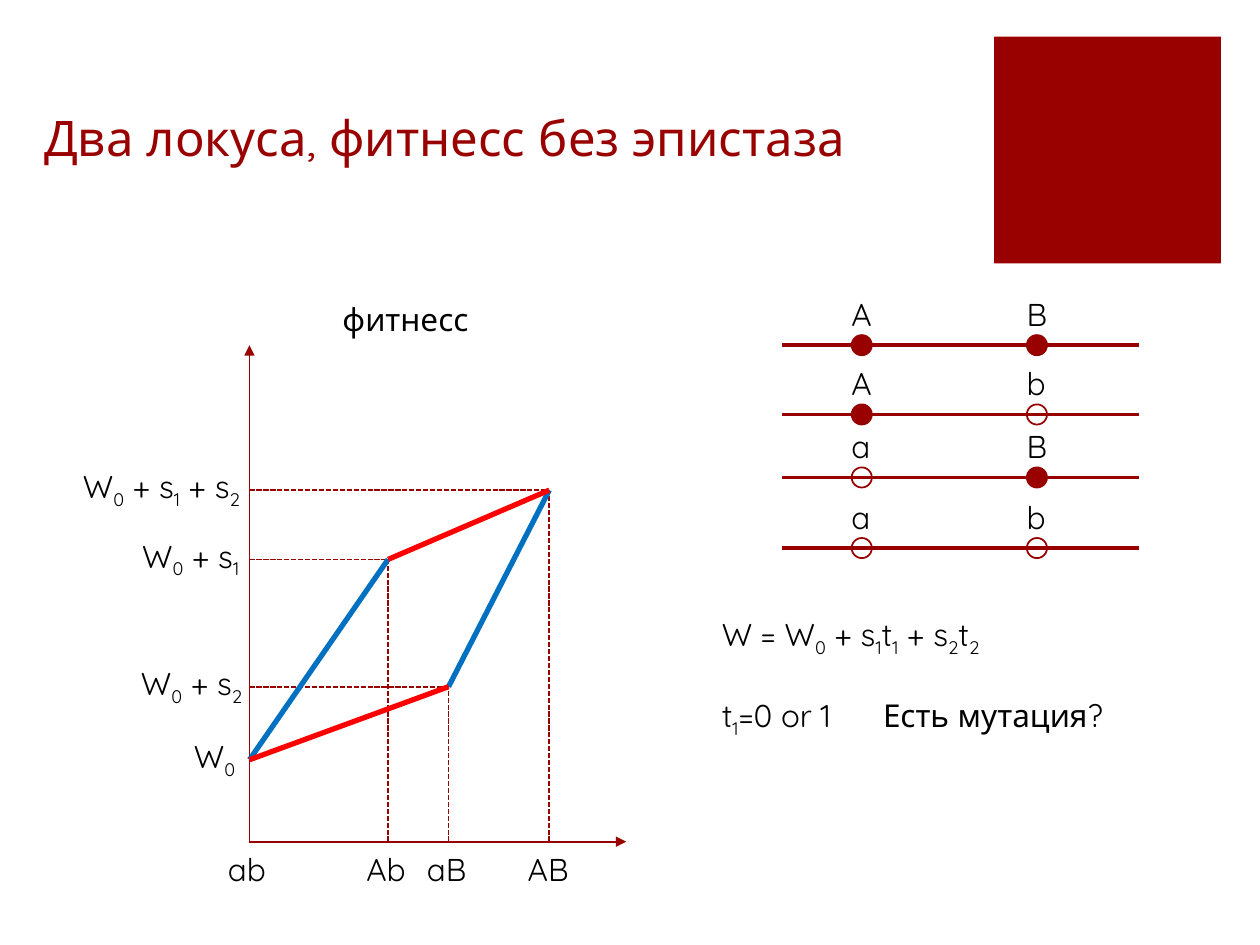
from dataclasses import dataclass

from lxml import etree
from pptx import Presentation
from pptx import util as u
from pptx.dml.color import RGBColor
from pptx.enum import dml, shapes, text
from pptx.oxml.ns import qn


@dataclass(frozen=True)
class Theme:
    font: str = "Quicksand"
    title_size: int = 28
    text_size: int = 18
    main: str = "990000"
    outline: str = "960000"
    ink: str = "000000"
    first_locus: str = "0070C0"
    second_locus: str = "FF0000"


THEME = Theme()
CELL = 0.1  # the slide is a grid of 100 columns by 75 rows
LABEL_HEIGHT = 4


@dataclass(frozen=True)
class Genotype:
    name: str
    column: float
    row: float
    fitness: str
    fitness_left: float


GENOTYPES = {
    genotype.name: genotype
    for genotype in (
        Genotype("ab", 19.8, 60.3, "W_0", 14.4),
        Genotype("Ab", 30.8, 44.4, "W_0 + s_1", 10.3),
        Genotype("aB", 35.6, 54.5, "W_0 + s_2", 10.2),
        Genotype("AB", 43.6, 38.9, "W_0 + s_1 + s_2", 5.6),
    )
}
ORIGIN = (19.8, 66.8)
CHROMOSOMES = {"AB": 27.4, "Ab": 32.9, "aB": 37.9, "ab": 43.5}
LOCUS_COLUMNS = (68.4, 82.3)


def cells(*counts):
    return [u.Inches(count * CELL) for count in counts]


def style(run, size, color):
    run.font.name = THEME.font
    run.font.size = u.Pt(size)
    run.font.color.rgb = RGBColor.from_string(color)


def write(paragraph, content):
    """Write a line in which the character after each _ is a subscript."""
    first, *rest = content.split("_")
    pieces = [(first, False)]
    for part in rest:
        pieces += [(part[0], True), (part[1:], False)]
    for piece, lowered in pieces:
        if piece:
            run = paragraph.add_run()
            run.text = piece
            style(run, THEME.text_size, THEME.ink)
            if lowered:
                run._r.get_or_add_rPr().set("baseline", "-25000")


def add_label(slide, left, top, width, *lines, height=LABEL_HEIGHT):
    box = slide.shapes.add_textbox(*cells(left, top, width, height))
    frame = box.text_frame
    frame.word_wrap = False
    for index, line in enumerate(lines):
        paragraph = frame.add_paragraph() if index else frame.paragraphs[0]
        write(paragraph, line)
    return frame


def add_line(slide, start, end, color=THEME.main, width=1, dashed=False, arrow=False):
    connector = slide.shapes.add_connector(
        shapes.MSO_CONNECTOR.STRAIGHT, *cells(*start, *end))
    line = connector.line
    line.color.rgb = RGBColor.from_string(color)
    line.width = u.Pt(width)
    if dashed:
        line.dash_style = dml.MSO_LINE.SQUARE_DOT
    if arrow:
        etree.SubElement(line._get_or_add_ln(), qn("a:tailEnd"), type="triangle")
    etree.SubElement(connector._element.spPr, qn("a:effectLst"))


def add_figure(slide, kind, left, top, size, filled=True, outline=None):
    shape = slide.shapes.add_shape(kind, *cells(left, top, size, size))
    shape.shadow.inherit = False
    if filled:
        shape.fill.solid()
        shape.fill.fore_color.rgb = RGBColor.from_string(THEME.main)
    else:
        shape.fill.background()
    if outline:
        shape.line.color.rgb = RGBColor.from_string(outline)
        shape.line.width = u.Pt(1)
    else:
        shape.line.fill.background()


def add_title(slide, content):
    title = slide.shapes.title
    title.left, title.top, title.width, title.height = cells(1.5, 1.2, 75.1, 12.5)
    frame = title.text_frame
    frame.text = content
    frame.auto_size = text.MSO_AUTO_SIZE.NONE
    frame.vertical_anchor = text.MSO_ANCHOR.BOTTOM
    frame.margin_left = u.Inches(0.2)
    paragraph = frame.paragraphs[0]
    paragraph.alignment = text.PP_ALIGN.LEFT
    style(paragraph.runs[0], THEME.title_size, THEME.main)


def add_fitness_plot(slide):
    left, bottom = ORIGIN
    # Axes
    add_line(slide, ORIGIN, (left, 27.4), arrow=True)
    add_line(slide, ORIGIN, (49.7, bottom), arrow=True)
    add_label(slide, 26.2, 23.3, 14.4, "фитнесс")
    # Guides and labels of each genotype
    for genotype in GENOTYPES.values():
        point = (genotype.column, genotype.row)
        if genotype.column > left:
            add_line(slide, (left, genotype.row), point, dashed=True)
            add_line(slide, (genotype.column, bottom), point, dashed=True)
        add_label(slide, genotype.column - 2.7, 67, 5.4, genotype.name)
        add_label(slide, genotype.fitness_left, genotype.row - 2.3,
                  20.3 - genotype.fitness_left, genotype.fitness)
    # Mutations, coloured by locus
    for before, after, color in (
        ("ab", "Ab", THEME.first_locus),
        ("aB", "AB", THEME.first_locus),
        ("ab", "aB", THEME.second_locus),
        ("Ab", "AB", THEME.second_locus),
    ):
        ends = [(GENOTYPES[name].column, GENOTYPES[name].row)
                for name in (before, after)]
        add_line(slide, *ends, color=color, width=3)


def add_chromosomes(slide):
    size = 1.6
    for alleles, row in CHROMOSOMES.items():
        add_line(slide, (62.1, row), (90.4, row), width=2)
        for allele, column in zip(alleles, LOCUS_COLUMNS):
            add_figure(slide, shapes.MSO_SHAPE.OVAL, column - size / 2,
                       row - size / 2, size, allele.isupper(), THEME.outline)
            add_label(slide, column - 1.8, row - 4.5, 4.4, allele)


def add_formula(slide):
    frame = add_label(slide, 56.3, 48.3, 34.1, "W = W_0 + s_1t_1 + s_2t_2",
                      "t_1=0 or 1\tЕсть мутация?", height=10.1)
    question = frame.paragraphs[1]
    question.space_before = u.Pt(22)
    tabs = etree.SubElement(question._p.get_or_add_pPr(), qn("a:tabLst"))
    etree.SubElement(tabs, qn("a:tab"), pos=str(u.Inches(1.28)), algn="l")


def main():
    presentation = Presentation()
    presentation.slide_width, presentation.slide_height = cells(100, 75)
    slide = presentation.slides.add_slide(presentation.slide_layouts[5])
    add_figure(slide, shapes.MSO_SHAPE.RECTANGLE, 78.9, 2.9, 18)
    add_title(slide, "Два локуса, фитнесс без эпистаза")
    add_fitness_plot(slide)
    add_chromosomes(slide)
    add_formula(slide)
    presentation.save("out.pptx")


if __name__ == "__main__":
    main()
